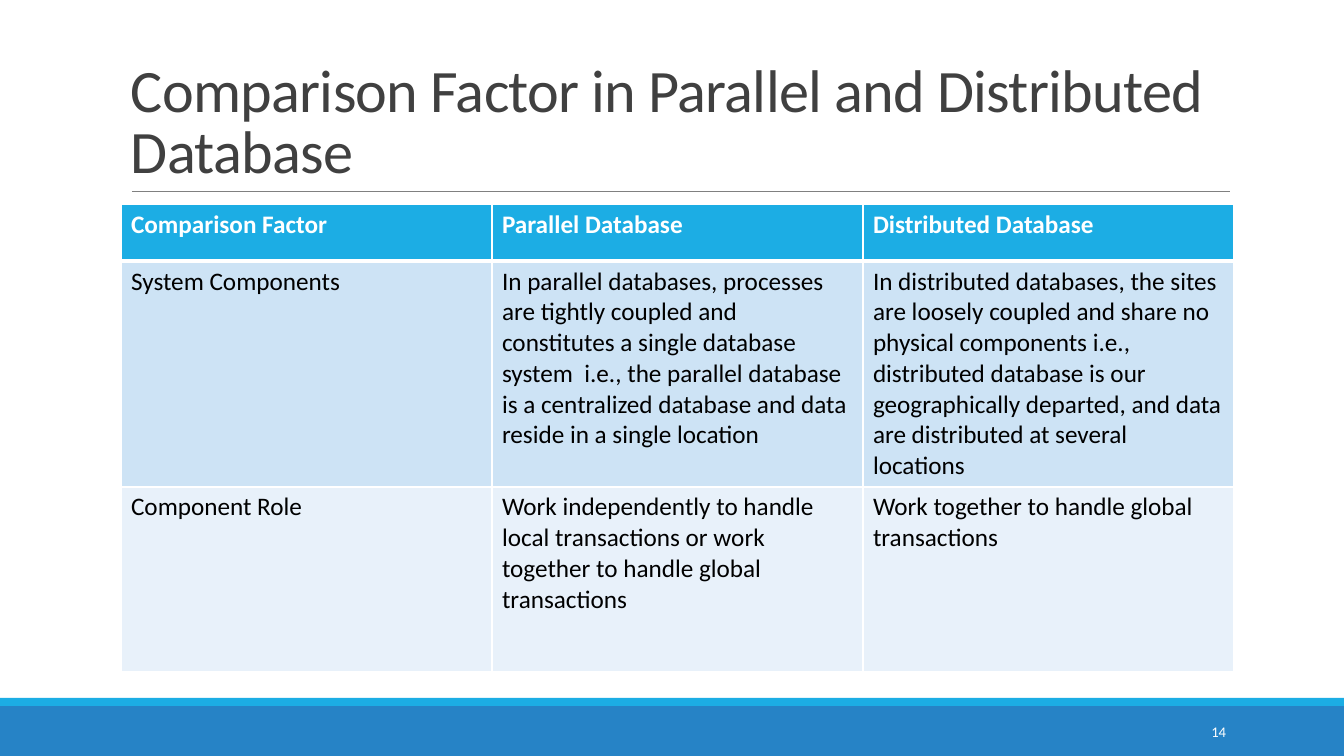
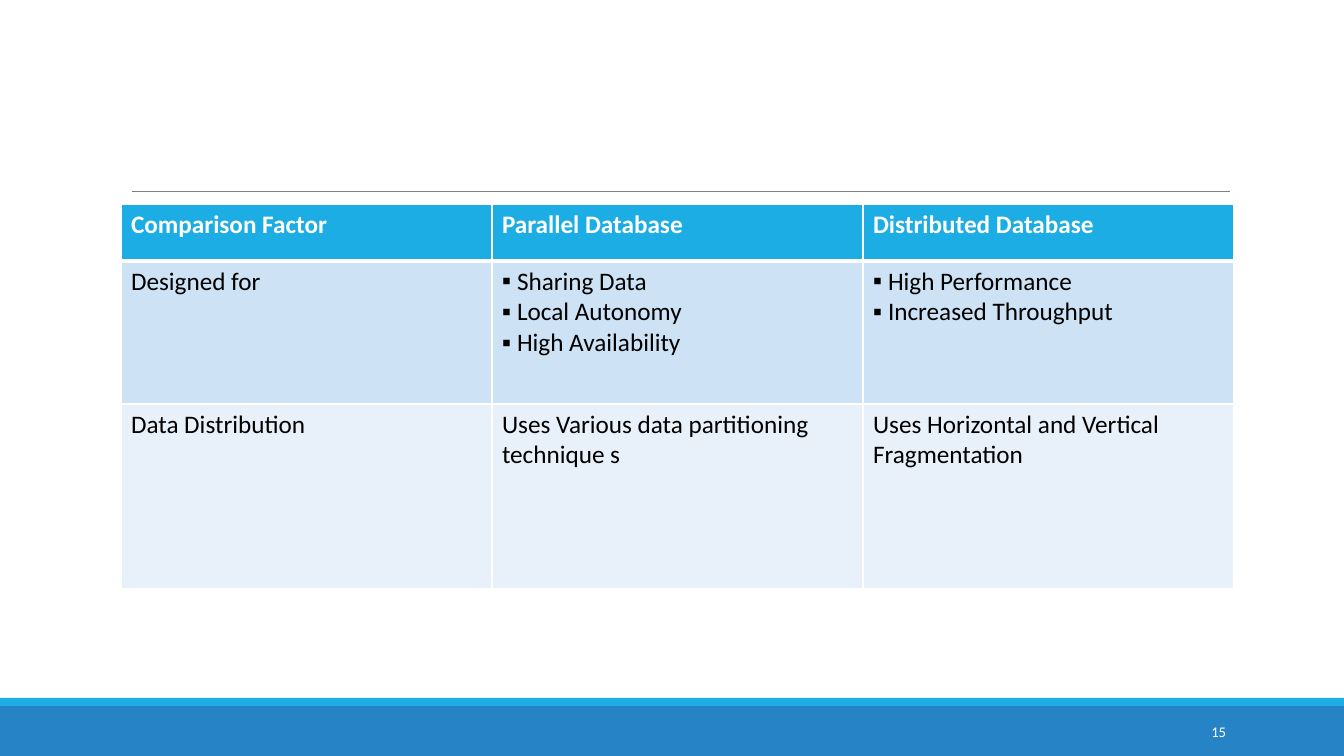
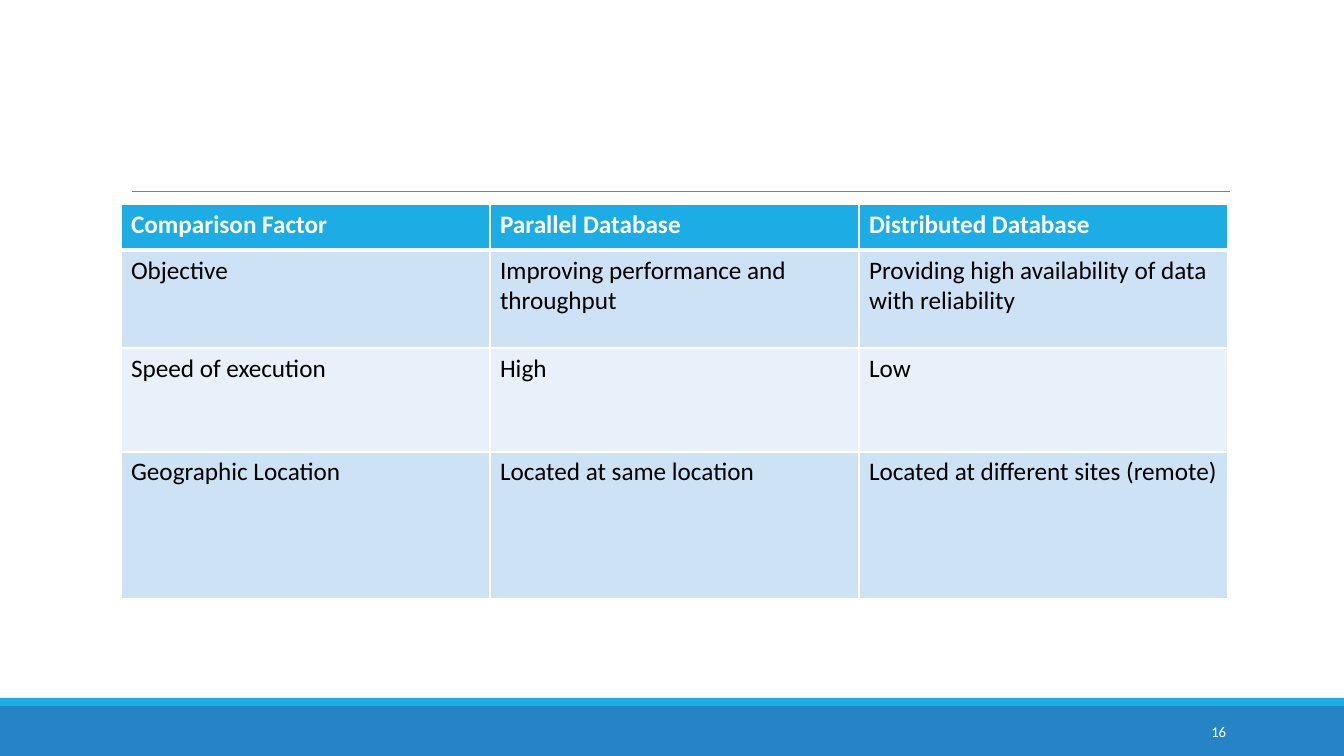
"""Builds three slides comparing parallel and distributed databases."""
import pptx
import pptx.util
import pptx.dml.color
import pptx.enum.shapes
import pptx.enum.text
import pptx.oxml
import pptx.oxml.ns
import lxml.etree

PX = 914400 / 100.8
FONT = "Calibri"
WHITE, BLACK, GREY, RULE = "FFFFFF", "000000", "404040", "808080"
BAND, ACCENT = "2683C6", "1CADE4"
STRIPES = ["CDE3F5", "E8F1FA"]
BULLET = "▪"
BULLET_INDENT = 15
TABLE_LEFT, TABLE_TOP = 121, 204
HEADER = ["Comparison Factor", "Parallel Database", "Distributed Database"]

SLIDES = [
    {
        "number": "14",
        "title": "Comparison Factor in Parallel and Distributed Database",
        "col": 371,
        "heights": [57, 226, 185],
        "rows": [
            ["System Components",
             "In parallel databases, processes are tightly coupled and constitutes a single "
             "database system  i.e., the parallel database is a centralized database and data "
             "reside in a single location",
             "In distributed databases, the sites are loosely coupled and share no physical "
             "components i.e., distributed database is our geographically departed, and data "
             "are distributed at several locations"],
            ["Component Role",
             "Work independently to handle local transactions or work together to handle "
             "global transactions",
             "Work together to handle global transactions"],
        ],
    },
    {
        "number": "15",
        "col": 371,
        "heights": [57, 143, 185],
        "rows": [
            ["Designed for",
             ["Sharing Data", "Local Autonomy", "High Availability"],
             ["High Performance", "Increased Throughput"]],
            ["Data Distribution",
             "Uses Various data partitioning technique s",
             "Uses Horizontal and Vertical Fragmentation"],
        ],
    },
    {
        "number": "16",
        "col": 369,
        "heights": [46, 98, 104, 147],
        "rows": [
            ["Objective", "Improving performance and throughput",
             "Providing high availability of data with reliability"],
            ["Speed of execution", "High", "Low"],
            ["Geographic Location", "Located at same location",
             "Located at different sites (remote)"],
        ],
    },
]


def px(n):
    return pptx.util.Emu(round(n * PX))


def rgb(color):
    return pptx.dml.color.RGBColor.from_string(color)


def sub(parent, tag, **attrs):
    el = lxml.etree.SubElement(parent, pptx.oxml.ns.qn(tag))
    for key, value in attrs.items():
        el.set(key, str(value))
    return el


def add_run(p, text, size, color, bold=False):
    r = p.add_run()
    r.text = text
    r.font.name = FONT
    r.font.size = pptx.util.Pt(size)
    r.font.bold = bold
    r.font.color.rgb = rgb(color)
    return r


def add_text(s, box, text, size, color, anchor):
    tf = s.shapes.add_textbox(*map(px, box)).text_frame
    tf.word_wrap = True
    tf.vertical_anchor = anchor
    p = tf.paragraphs[0]
    return p, add_run(p, text, size, color)


def add_band(s, top, height, color):
    sp = s.shapes.add_shape(pptx.enum.shapes.MSO_SHAPE.RECTANGLE,
                            0, px(top), px(1344), px(height))
    sp.shadow.inherit = False
    sp.fill.solid()
    sp.fill.fore_color.rgb = rgb(color)
    sp.line.fill.background()


def add_frame(s, number):
    add_band(s, 706, 50, BAND)
    add_band(s, 698, 8, ACCENT)
    rule = s.shapes.add_connector(pptx.enum.shapes.MSO_CONNECTOR.STRAIGHT,
                                  px(132), px(191), px(1230), px(191))
    rule.line.color.rgb = rgb(RULE)
    rule.line.width = pptx.util.Pt(0.5)
    sub(rule._element.spPr, "a:effectLst")
    p, r = add_text(s, (1092, 712, 144, 40), number, 10.5, WHITE,
                    pptx.enum.text.MSO_ANCHOR.MIDDLE)
    p.alignment = pptx.enum.text.PP_ALIGN.RIGHT


def add_title(s, text):
    p, r = add_text(s, (121, 31, 1109, 160), text, 43, GREY,
                    pptx.enum.text.MSO_ANCHOR.BOTTOM)
    p.line_spacing = 0.85
    r._r.get_or_add_rPr().set("spc", "-50")


def set_borders(cell, widths):
    tcPr = cell._tc.get_or_add_tcPr()
    for side, width in zip("LRTB", widths):
        ln = sub(tcPr, f"a:ln{side}", w=pptx.util.Pt(width))
        sub(sub(ln, "a:solidFill"), "a:srgbClr", val=WHITE)


def set_bullet(p):
    pPr = p._p.get_or_add_pPr()
    pPr.set("marL", str(px(BULLET_INDENT)))
    pPr.set("indent", str(px(-BULLET_INDENT)))
    sub(pPr, "a:buFont", typeface=FONT)
    sub(pPr, "a:buChar", char=BULLET)


def fill_cell(cell, content, row):
    header = row == 0
    set_borders(cell, (1, 1, 3 if row == 1 else 1, 3 if header else 1))
    cell.fill.solid()
    cell.fill.fore_color.rgb = rgb(ACCENT if header else STRIPES[(row - 1) % 2])
    bulleted = isinstance(content, list)
    tf = cell.text_frame
    for i, text in enumerate(content if bulleted else [content]):
        p = tf.add_paragraph() if i else tf.paragraphs[0]
        if bulleted:
            set_bullet(p)
        add_run(p, text, 18, WHITE if header else BLACK, header)


def add_comparison(s, rows, heights, col):
    table = s.shapes.add_table(len(rows), len(HEADER), px(TABLE_LEFT), px(TABLE_TOP),
                               px(col * len(HEADER)), px(sum(heights))).table
    for column in table.columns:
        column.width = px(col)
    for i, (row, height) in enumerate(zip(rows, heights)):
        table.rows[i].height = px(height)
        for j, content in enumerate(row):
            fill_cell(table.cell(i, j), content, i)


def main():
    prs = pptx.Presentation()
    prs.slide_width, prs.slide_height = px(1344), px(756)
    for data in SLIDES:
        s = prs.slides.add_slide(prs.slide_layouts[6])
        add_frame(s, data["number"])
        if "title" in data:
            add_title(s, data["title"])
        add_comparison(s, [HEADER] + data["rows"], data["heights"], data["col"])
    prs.save("out.pptx")


if __name__ == "__main__":
    main()
